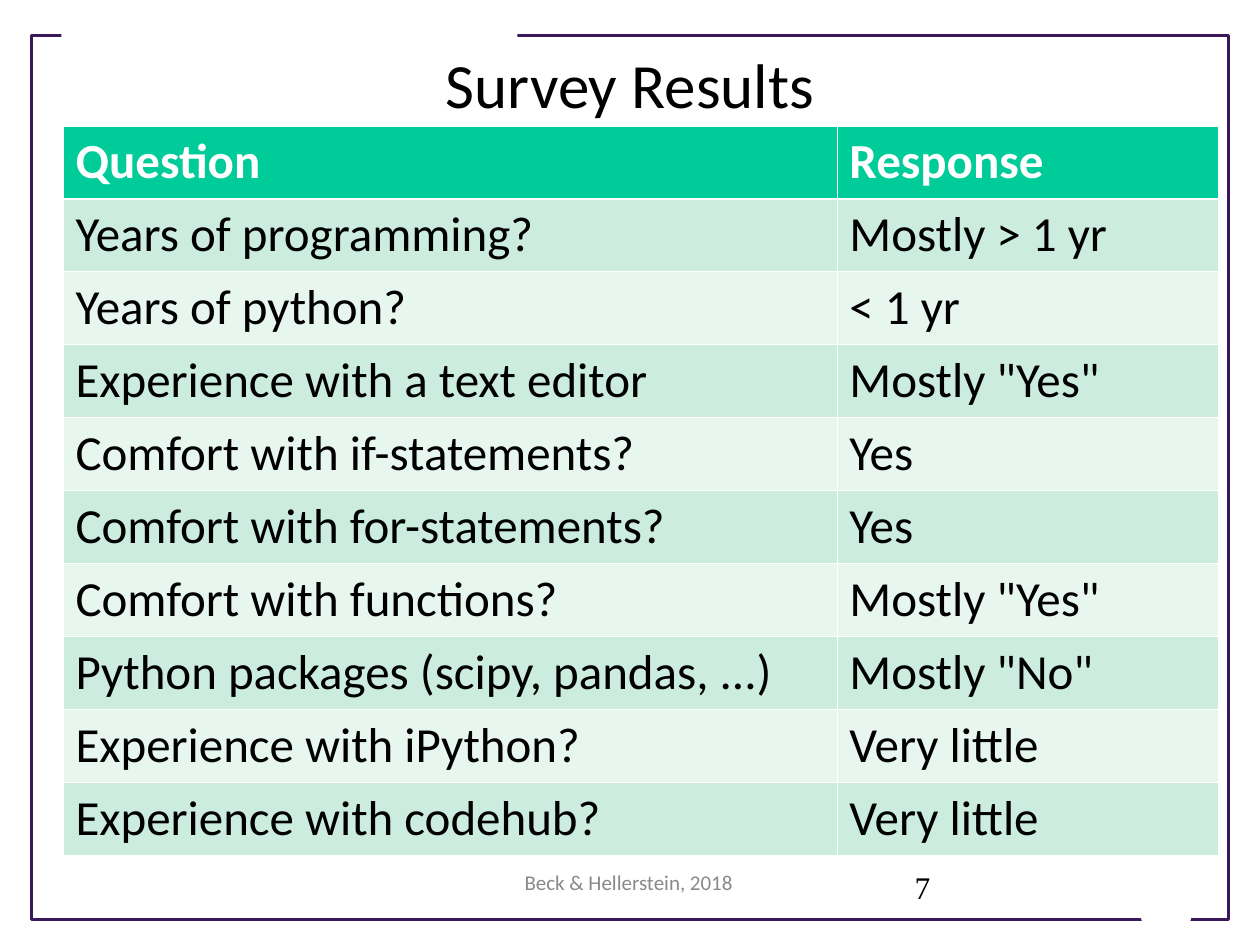
import pptx
import pptx.util
import pptx.dml.color
import pptx.enum.shapes
import pptx.enum.text
import pptx.oxml
import pptx.oxml.ns

Cm = pptx.util.Cm
Pt = pptx.util.Pt
ALIGN = pptx.enum.text.PP_ALIGN

HEADING = "Survey Results"
CREDIT = "Beck & Hellerstein, 2018"
PAGE = "7"
SURVEY = [
    ("Question", "Response"),
    ("Years of programming?", "Mostly > 1 yr"),
    ("Years of python?", "< 1 yr"),
    ("Experience with a text editor", 'Mostly "Yes"'),
    ("Comfort with if-statements?", "Yes"),
    ("Comfort with for-statements?", "Yes"),
    ("Comfort with functions?", 'Mostly "Yes"'),
    ("Python packages (scipy, pandas, ...)", 'Mostly "No"'),
    ("Experience with iPython?", "Very little"),
    ("Experience with codehub?", "Very little"),
]

THEME = {
    "ink": "000000",
    "paper": "FFFFFF",
    "frame": "3B185A",
    "header": "00CC99",
    "bands": ("E7F6EF", "CBECDE"),
    "muted": "898989",
    "font": "Calibri",
    "page_font": "Times New Roman",
    "heading_size": 36,
    "survey_size": 28,
    "credit_size": 12,
    "page_size": 18,
    "frame_width": 1.75,
    "rule": 0.45,
    "header_rule": 1.47,
}
COLUMN_WIDTHS = (15.6, 7.7)
ROW_HEIGHT = 1.47
NOTCH_CORNERS = [(22.78, 17.73), (23.04, 18.64), (23.98, 18.64), (24.21, 17.73)]


def rgb(code):
    return pptx.dml.color.RGBColor.from_string(code)


def add_words(paragraph, words, size, color, font=THEME["font"], bold=False):
    run = paragraph.add_run()
    run.text = words
    run.font.name = font
    run.font.size = Pt(size)
    run.font.bold = bold
    run.font.color.rgb = rgb(color)


def add_label(slide, box, words, align, *style):
    label = slide.shapes.add_textbox(*map(Cm, box))
    label.text_frame.word_wrap = True
    paragraph = label.text_frame.paragraphs[0]
    paragraph.alignment = align
    add_words(paragraph, words, *style)


def mask(patch):
    patch.shadow.inherit = False
    patch.fill.solid()
    patch.fill.fore_color.rgb = rgb(THEME["paper"])
    patch.line.fill.background()


def add_frame(slide):
    rectangle = pptx.enum.shapes.MSO_SHAPE.RECTANGLE
    frame = slide.shapes.add_shape(rectangle, Cm(0.63), Cm(0.71), Cm(24.13), Cm(17.83))
    frame.shadow.inherit = False
    frame.fill.background()
    frame.line.color.rgb = rgb(THEME["frame"])
    frame.line.width = Pt(THEME["frame_width"])
    mask(slide.shapes.add_shape(rectangle, Cm(1.24), Cm(0.43), Cm(9.19), Cm(0.61)))
    corners = [(Cm(x), Cm(y)) for x, y in NOTCH_CORNERS]
    outline = slide.shapes.build_freeform(*corners[0])
    outline.add_line_segments(corners[1:], close=True)
    mask(outline.convert_to_shape())


def set_borders(cell, widths):
    properties = cell._tc.get_or_add_tcPr()
    for position, (side, width) in enumerate(widths.items()):
        border = pptx.oxml.parse_xml(
            f'<a:{side} {pptx.oxml.ns.nsdecls("a")} w="{Pt(width)}"><a:solidFill>'
            f'<a:srgbClr val="{THEME["paper"]}"/></a:solidFill></a:{side}>'
        )
        properties.insert(position, border)


def add_survey(slide):
    survey = slide.shapes.add_table(
        len(SURVEY), len(COLUMN_WIDTHS), Cm(1.27), Cm(2.54),
        Cm(sum(COLUMN_WIDTHS)), Cm(ROW_HEIGHT * len(SURVEY)),
    ).table
    for column, width in zip(survey.columns, COLUMN_WIDTHS):
        column.width = Cm(width)
    for index, answers in enumerate(SURVEY):
        survey.rows[index].height = Cm(ROW_HEIGHT)
        is_header = index == 0
        fill = THEME["header"] if is_header else THEME["bands"][index % 2]
        ink = THEME["paper"] if is_header else THEME["ink"]
        widths = dict.fromkeys(("lnL", "lnR", "lnT", "lnB"), THEME["rule"])
        if index < 2:
            widths["lnB" if is_header else "lnT"] = THEME["header_rule"]
        for position, words in enumerate(answers):
            cell = survey.cell(index, position)
            cell.fill.solid()
            cell.fill.fore_color.rgb = rgb(fill)
            set_borders(cell, widths)
            add_words(cell.text_frame.paragraphs[0], words,
                      THEME["survey_size"], ink, THEME["font"], is_header)


def main():
    deck = pptx.Presentation()
    deck.slide_width, deck.slide_height = Cm(25.4), Cm(19.05)
    slide = deck.slides.add_slide(deck.slide_layouts[6])
    add_frame(slide)
    add_label(slide, (1.27, 0.79, 22.86, 3.18), HEADING, ALIGN.CENTER,
              THEME["heading_size"], THEME["ink"])
    add_survey(slide)
    add_label(slide, (8.66, 17.4, 8.03, 1.02), CREDIT, ALIGN.CENTER,
              THEME["credit_size"], THEME["muted"])
    add_label(slide, (18.19, 17.37, 3.84, 1.02), PAGE, ALIGN.LEFT,
              THEME["page_size"], THEME["ink"], THEME["page_font"])
    deck.save("out.pptx")


if __name__ == "__main__":
    main()
